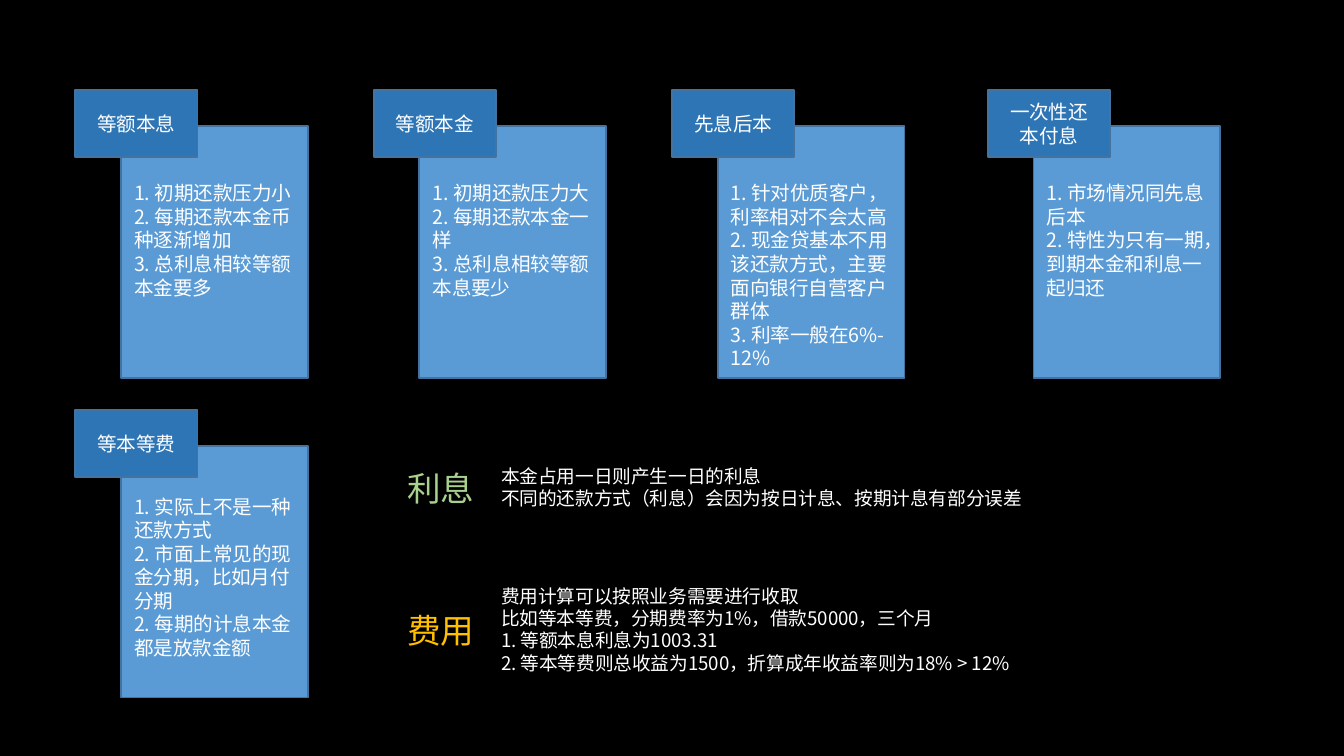
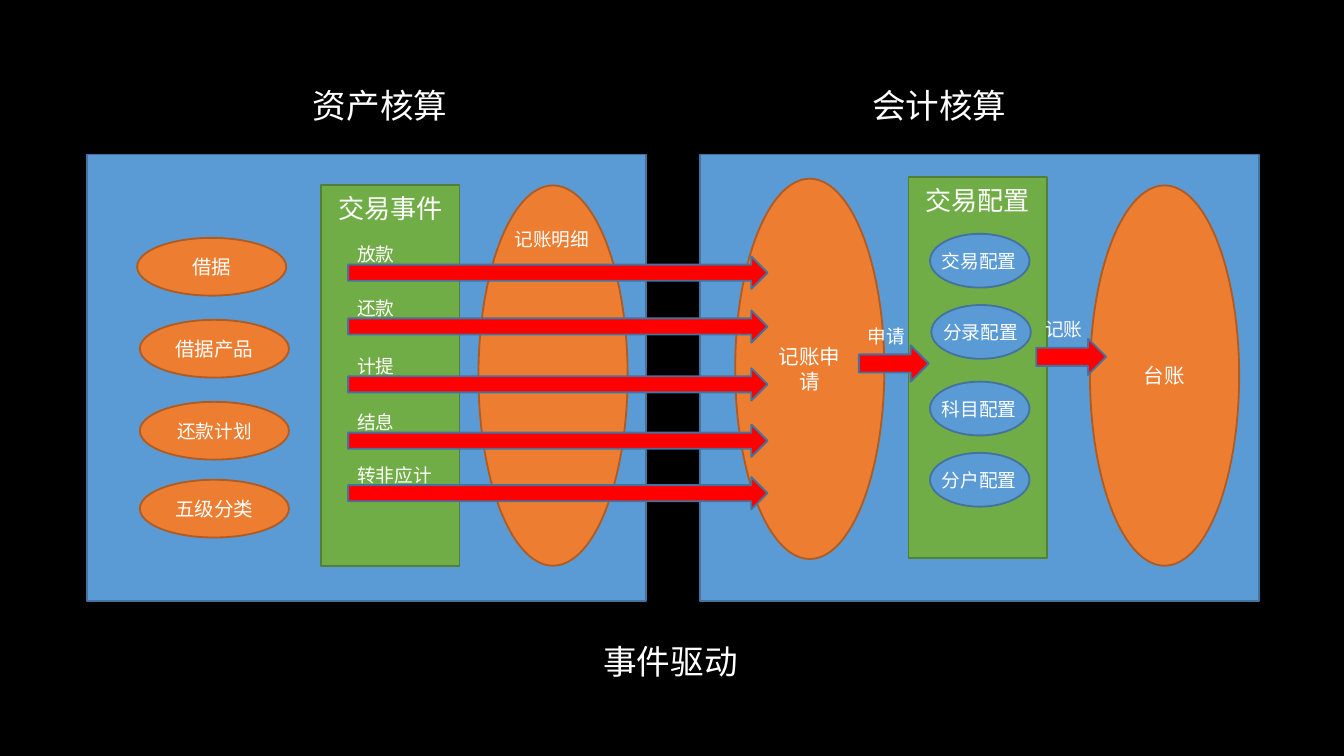
from lxml import etree
from pptx import Presentation
from pptx import util as u
from pptx.dml.color import RGBColor
from pptx.enum import shapes, text
from pptx.oxml.ns import qn

BOX = shapes.MSO_SHAPE.RECTANGLE
OVAL = shapes.MSO_SHAPE.OVAL
ARROW = shapes.MSO_SHAPE.RIGHT_ARROW
MID, TOP = text.MSO_ANCHOR.MIDDLE, text.MSO_ANCHOR.TOP

THEME = {
    "back": "000000", "ink": "FFFFFF", "mint": "A9D18E", "gold": "FFC000",
    # shape styles: fill, line
    "blue": ("5B9BD5", "43739E"), "navy": ("2E75B6", "43739E"),
    "orange": ("ED7D31", "AF5C24"), "green": ("70AD47", "538035"),
    "red": ("FF0000", "43739E"),
    # type
    "cjk": "Noto Sans CJK SC", "latin": "Roboto", "lead": 1.2,
    "head": 18, "sub": 14, "mid": 11, "body": 10.5, "note": 10,
}


def write(item, paras, size, ink="ink", face="cjk", wrap=True, anchor=TOP, align=None):
    """Fill a shape or text box with one paragraph per entry."""
    frame = item.text_frame
    for key, val in {"word_wrap": wrap, "vertical_anchor": anchor}.items():
        setattr(frame, key, val)
    for i, words in enumerate(paras):
        para = frame.add_paragraph() if i else frame.paragraphs[0]
        para.text = words
        para.alignment = align
        para.line_spacing = u.Pt(THEME[size] * THEME["lead"])
        for run in para.runs:
            for key, val in {"size": u.Pt(THEME[size]), "name": THEME[face]}.items():
                setattr(run.font, key, val)
            run.font.color.rgb = RGBColor.from_string(THEME[ink])
            east = etree.SubElement(run._r.get_or_add_rPr(), qn("a:ea"))
            east.set("typeface", THEME["cjk"])


def draw(slide, at, kind=None, look="blue", words=None, size="body", **fmt):
    """Add a styled shape, or a text box when no kind is given."""
    place = [u.Inches(n) for n in at]
    if kind is None:
        item = slide.shapes.add_textbox(*place)
    else:
        item = slide.shapes.add_shape(kind, *place)
        item.shadow.inherit = False
        fill, line = THEME[look]
        item.fill.solid()
        item.fill.fore_color.rgb = RGBColor.from_string(fill)
        item.line.color.rgb = RGBColor.from_string(line)
        item.line.width = u.Pt(1)
        fmt = {"face": "latin", "anchor": MID, "align": text.PP_ALIGN.CENTER, **fmt}
    if words:
        write(item, [words] if isinstance(words, str) else words, size, **fmt)


# 16:9 deck with black slides
deck = Presentation()
deck.slide_width, deck.slide_height = u.Inches(10), u.Inches(10 * 9 / 16)
pages = []
for _ in range(2):
    page = deck.slides.add_slide(deck.slide_layouts[6])
    page.background.fill.solid()
    page.background.fill.fore_color.rgb = RGBColor.from_string(THEME["back"])
    pages.append(page)
loans, flow = pages

# Slide 1: repayment cards (left, top, text drop, name, points)
cards = [
    (0.56, 0.67, 0.63, "等额本息",
     ["1. 初期还款压力小", "2. 每期还款本金币种逐渐增加", "3. 总利息相较等额本金要多"]),
    (2.78, 0.67, 0.63, "等额本金",
     ["1. 初期还款压力大", "2. 每期还款本金一样", "3. 总利息相较等额本息要少"]),
    (5, 0.67, 0.63, "先息后本",
     ["1. 针对优质客户，利率相对不会太高",
      "2. 现金贷基本不用该还款方式，主要面向银行自营客户群体",
      "3. 利率一般在6%-12%"]),
    (7.35, 0.67, 0.63, "一次性还本付息",
     ["1. 市场情况同先息后本", "2. 特性为只有一期，到期本金和利息一起归还"]),
    (0.56, 3.05, 0.58, "等本等费",
     ["1. 实际上不是一种还款方式", "2. 市面上常见的现金分期，比如月付分期",
      "2. 每期的计息本金都是放款金额"]),
]
for x, y, drop, name, points in cards:
    draw(loans, (x + 0.34, y + 0.27, 1.39, 1.87), BOX)
    draw(loans, (x, y, 0.91, 0.5), BOX, "navy", name)
    draw(loans, (x + 0.34, y + drop, 1.39, 1.34), words=points)

# Slide 1: interest and fee notes
notes = [
    ("利息", "mint", 3.43, 3.41, 0.44,
     "本金占用一日则产生一日的利息\n"
     "不同的还款方式（利息）会因为按日计息、按期计息有部分误差"),
    ("费用", "gold", 4.49, 4.3, 0.77,
     "费用计算可以按照业务需要进行收取\n"
     "比如等本等费，分期费率为1%，借款50000，三个月\n"
     "1. 等额本息利息为1003.31\n"
     "2. 等本等费则总收益为1500，折算成年收益率则为18% > 12%"),
]
for name, ink, y, top, high, words in notes:
    draw(loans, (2.93, y, 0.71, 0.4), words=name, size="head", ink=ink, wrap=False)
    draw(loans, (3.63, top, 4.12, high), words=words, size="note", wrap=False)

# Slide 2: two panels and the headings
for x in (5.21, 0.65):
    draw(flow, (x, 1.15, 4.16, 3.32), BOX)
for x, y, name in [(2.23, 0.58, "资产核算"), (6.39, 0.58, "会计核算"),
                   (4.39, 4.72, "事件驱动")]:
    draw(flow, (x, y, 1.21, 0.4), words=name, size="head", wrap=False)

# Slide 2: asset records
for x, y, name, size in [(1.02, 1.77, "借据", "body"), (1.04, 2.38, "借据产品", "body"),
                         (1.04, 2.99, "还款计划", "note"), (1.04, 3.57, "五级分类", "body")]:
    draw(flow, (x, y, 1.11, 0.43), OVAL, "orange", name, size, wrap=False)

# Slide 2: columns and tall ovals
for x, y, name in [(3.56, 1.38, None), (5.47, 1.33, "记账申请"), (8.11, 1.38, "台账")]:
    draw(flow, (x, y, 1.11, 2.83), OVAL, "orange", name, "mid")
for x, y, name in [(2.39, 1.38, "交易事件"), (6.76, 1.32, "交易配置")]:
    draw(flow, (x, y, 1.03, 2.83), BOX, "green", name, "sub", anchor=TOP)
draw(flow, (3.73, 1.65, 0.76, 0.27), words="记账明细", size="note", wrap=False)

# Slide 2: settings
for x, y, name in [(6.92, 1.74, "交易配置"), (6.93, 2.27, "分录配置"),
                   (6.92, 2.84, "科目配置"), (6.92, 3.37, "分户配置")]:
    draw(flow, (x, y, 0.74, 0.4), OVAL)
    draw(flow, (x - 0.01, y + 0.07, 0.76, 0.27), words=name, size="note", wrap=False)

# Slide 2: arrows, each with a label above its tail
events = [(1.91, "放款"), (2.31, "还款"), (2.74, "计提"), (3.16, "结息"), (3.55, "转非应计")]
arrows = [(2.59, y, 3.12, 0.24, 0.15, name) for y, name in events]
arrows += [(6.39, 2.57, 0.52, 0.27, 0.2, "申请"), (7.71, 2.52, 0.52, 0.27, 0.2, "记账")]
for x, y, wide, high, lift, name in arrows:
    span = 0.82 if len(name) > 2 else 0.69
    draw(flow, (x, y, wide, high), ARROW, "red")
    draw(flow, (x - 0.03, y - lift, span, 0.27), words=name, size="note")

deck.save("out.pptx")
